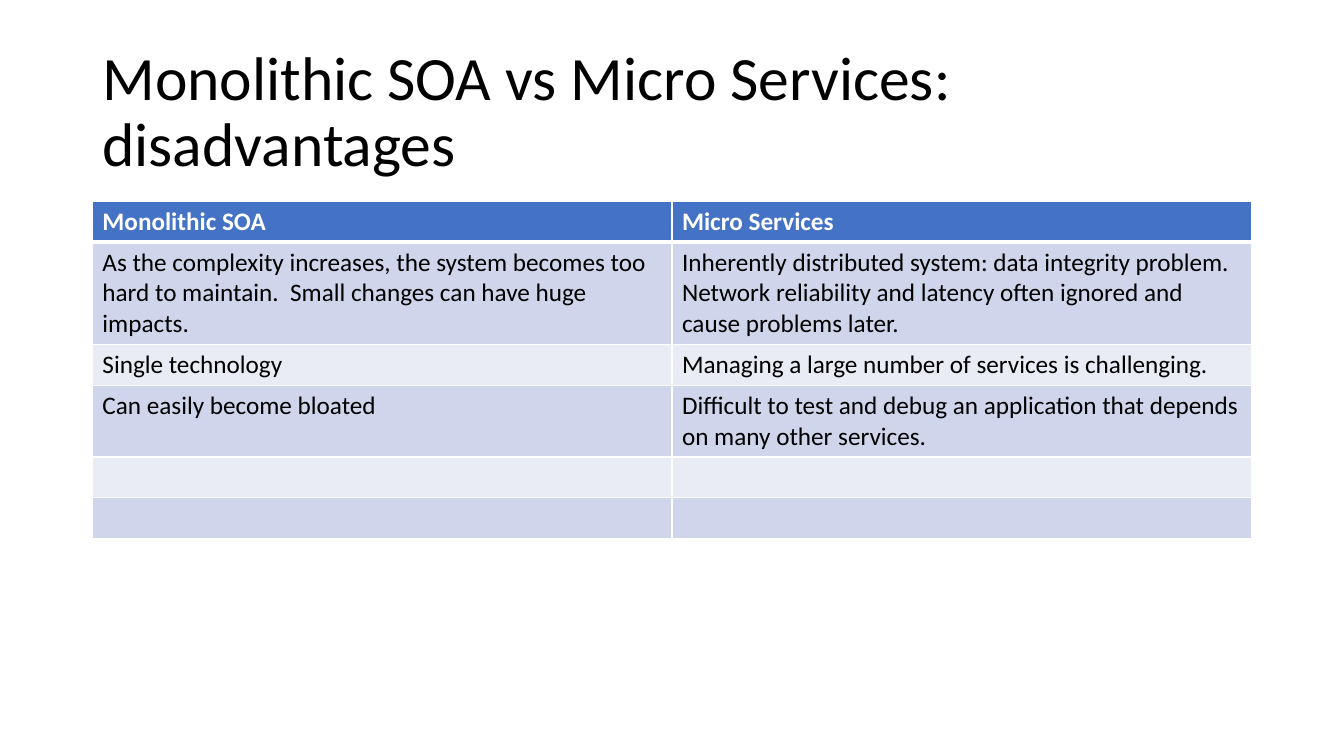
from lxml import etree
from pptx import Presentation
from pptx.dml.color import RGBColor
from pptx.enum import text
from pptx.oxml import ns
from pptx.util import Pt

HUES = {"ink": "000000", "paper": "FFFFFF", "head": "4472C4",
        "odd": "CFD5EA", "even": "E9EBF5"}

ROWS = [
    ("Monolithic SOA", "Micro Services"),
    ("As the complexity increases, the system becomes too hard to maintain.  "
     "Small changes can have huge impacts.",
     "Inherently distributed system: data integrity problem.  "
     "Network reliability and latency often ignored and cause problems later."),
    ("Single technology", "Managing a large number of services is challenging."),
    ("Can easily become bloated",
     "Difficult to test and debug an application that depends on many other services."),
    ("", ""),
    ("", ""),
]


def hue(name):
    return RGBColor.from_string(HUES[name])


def write(frame, words, size=18, color="ink", bold=False, space=1.0):
    para = frame.paragraphs[0]
    para.alignment = text.PP_ALIGN.LEFT
    para.line_spacing = space
    if words:
        run = para.add_run()
        run.text = words
        font = run.font
    else:
        font = para.font
    font.name = "Calibri"
    font.size = Pt(size)
    font.bold = bold
    font.color.rgb = hue(color)


def edge(cell, side, width):
    props = cell._tc.get_or_add_tcPr()
    line = etree.SubElement(props, ns.qn(f"a:ln{side}"), w=str(Pt(width)))
    fill = etree.SubElement(line, ns.qn("a:solidFill"))
    etree.SubElement(fill, ns.qn("a:srgbClr"), val=HUES["paper"])


def add_title(slide, words, left, top, width, height):
    title = slide.shapes.title
    title.left, title.top = Pt(left), Pt(top)
    title.width, title.height = Pt(width), Pt(height)
    frame = title.text_frame
    frame.auto_size = text.MSO_AUTO_SIZE.NONE
    frame.word_wrap = True
    frame.vertical_anchor = text.MSO_ANCHOR.MIDDLE
    write(frame, words, size=44, space=0.9)


def add_grid(slide, rows, left, top, width, pitch):
    count = len(rows[0])
    grid = slide.shapes.add_table(len(rows), count, Pt(left), Pt(top),
                                  Pt(width), Pt(pitch * len(rows))).table
    for col in grid.columns:
        col.width = Pt(width / count)
    for r, row in enumerate(rows):
        grid.rows[r].height = Pt(pitch)
        shade = "head" if r == 0 else "odd" if r % 2 else "even"
        widths = {"L": 1, "R": 1, "T": 3 if r == 1 else 1, "B": 3 if r == 0 else 1}
        for c, words in enumerate(row):
            cell = grid.cell(r, c)
            for side, weight in widths.items():
                edge(cell, side, weight)
            cell.fill.solid()
            cell.fill.fore_color.rgb = hue(shade)
            write(cell.text_frame, words, bold=r == 0,
                  color="paper" if r == 0 else "ink")


def main():
    deck = Presentation()
    deck.slide_width, deck.slide_height = Pt(960), Pt(540)
    slide = deck.slides.add_slide(deck.slide_layouts[5])
    add_title(slide, "Monolithic SOA vs Micro Services: disadvantages",
              66, 28.75, 828, 104.4)
    add_grid(slide, ROWS, 66, 143.75, 828, 29.2)
    deck.save("out.pptx")


if __name__ == "__main__":
    main()
